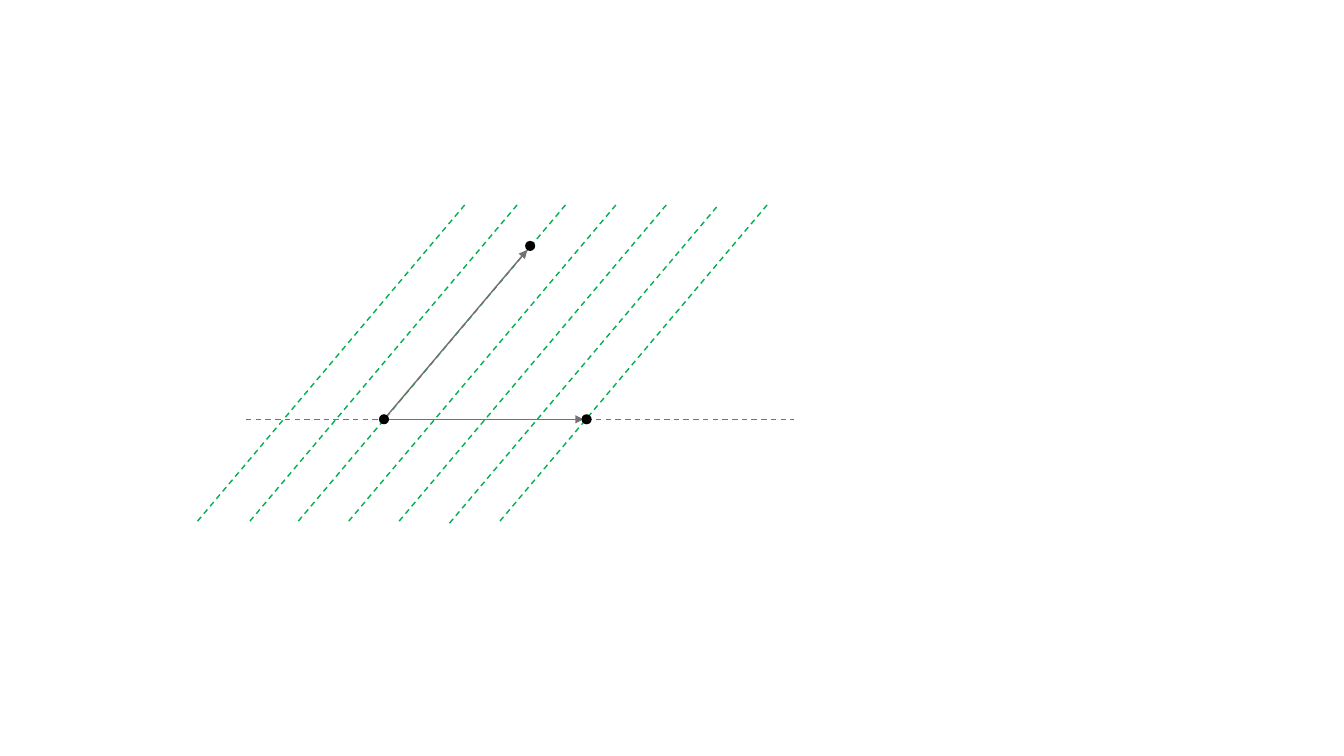
from dataclasses import dataclass

from lxml import etree
from pptx import Presentation
from pptx.dml.color import RGBColor
from pptx.enum import dml, shapes
from pptx.oxml.ns import qn
from pptx.util import Pt


@dataclass(frozen=True)
class Theme:
    lattice: RGBColor = RGBColor(0x00, 0xB0, 0x50)
    vector: RGBColor = RGBColor(0x76, 0x71, 0x71)
    point: RGBColor = RGBColor(0x00, 0x00, 0x00)
    line_width: float = 1
    point_size: float = 7.2


class Diagram:
    def __init__(self, slide, theme):
        self.slide = slide
        self.theme = theme

    def line(self, start, end, color, dashed=False, arrow=False):
        connector = self.slide.shapes.add_connector(
            shapes.MSO_CONNECTOR.STRAIGHT, *map(Pt, (*start, *end)))
        line = connector.line
        line.width = Pt(self.theme.line_width)
        line.color.rgb = color
        if dashed:
            line.dash_style = dml.MSO_LINE.DASH
        properties = connector.element.spPr
        if arrow:
            outline = properties.find(qn("a:ln"))
            etree.SubElement(outline, qn("a:tailEnd"), type="triangle")
        etree.SubElement(properties, qn("a:effectLst"))

    def lattice_line(self, left, bottom=372.24):
        """Draw one slanted line upwards from its lower left end."""
        self.line((left, bottom), (left + 192.24, bottom - 227.52),
                  self.theme.lattice, dashed=True)

    def axis(self, left, right, height):
        self.line((left, height), (right, height), self.theme.vector, dashed=True)

    def vector(self, start, end):
        self.line(start, end, self.theme.vector, arrow=True)

    def point(self, x, y):
        size = self.theme.point_size
        dot = self.slide.shapes.add_shape(
            shapes.MSO_SHAPE.OVAL, Pt(x - size / 2), Pt(y - size / 2), Pt(size), Pt(size))
        dot.shadow.inherit = False
        dot.fill.solid()
        dot.fill.fore_color.rgb = self.theme.point
        dot.line.fill.background()


def main():
    presentation = Presentation()
    presentation.slide_width, presentation.slide_height = Pt(960), Pt(540)
    slide = presentation.slides.add_slide(presentation.slide_layouts[6])
    diagram = Diagram(slide, Theme())

    axis_y = 299.52
    origin_line, spacing = 213.12, 36

    diagram.lattice_line(origin_line + 4 * spacing)
    diagram.axis(175.68, 567.36, axis_y)
    diagram.lattice_line(origin_line)

    diagram.vector((272.88, axis_y), (416.88, axis_y))
    diagram.vector((274.32, axis_y), (376.56, 178.56))
    for x, y in ((378.72, 175.68), (274.32, axis_y), (419.04, axis_y)):
        diagram.point(x, y)

    for step in (1, 2):
        diagram.lattice_line(origin_line + step * spacing)
    diagram.lattice_line(origin_line + 3 * spacing, bottom=373.68)
    diagram.lattice_line(178.56)
    diagram.lattice_line(origin_line - 2 * spacing)

    presentation.save("out.pptx")


if __name__ == "__main__":
    main()
